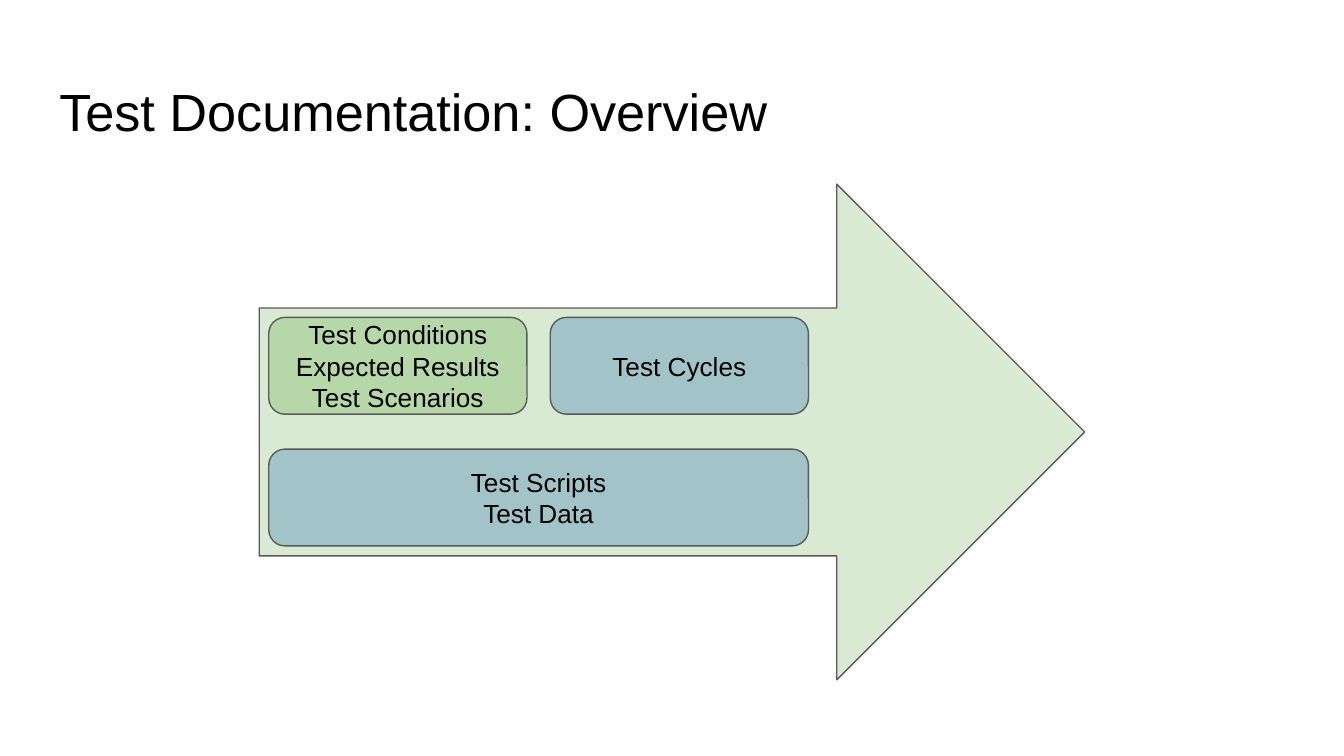
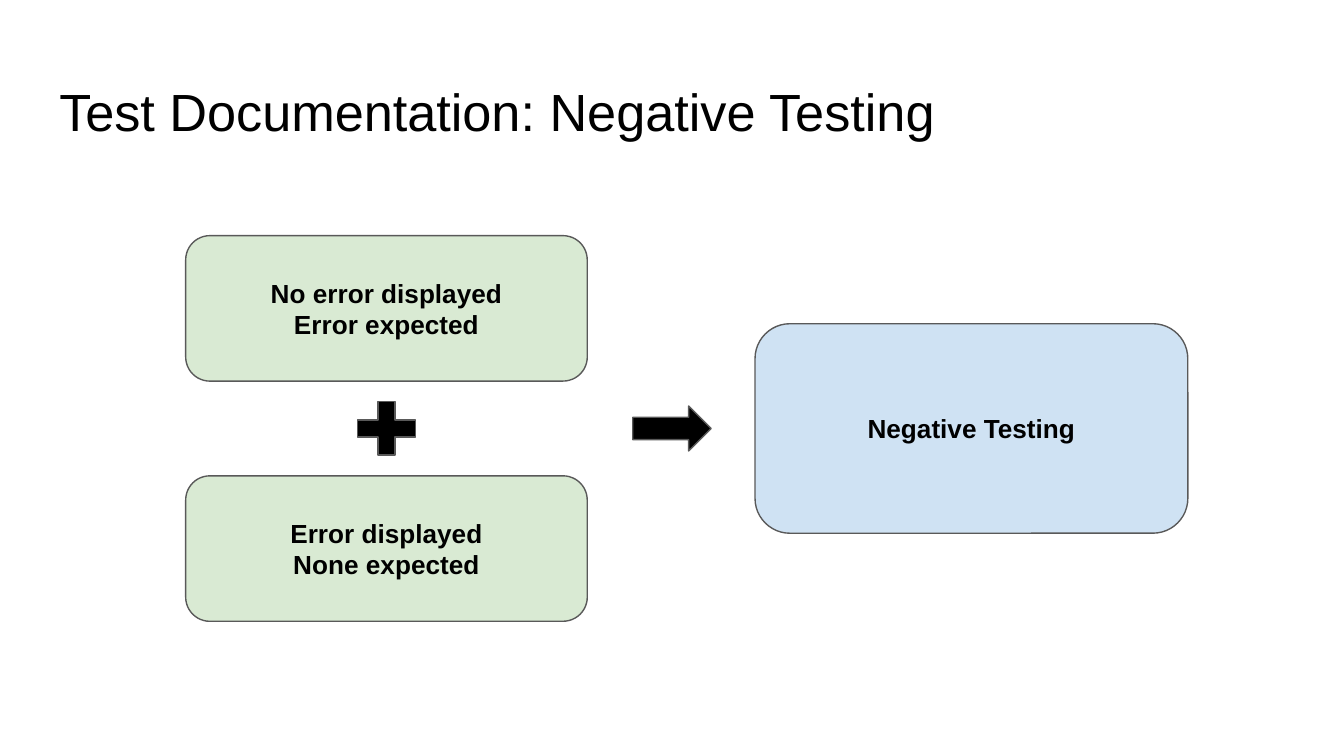
from pptx import Presentation
from pptx.dml.color import RGBColor
from pptx.enum import shapes as es, text as et
from pptx.util import Cm, Pt

HUES = {
    "ink": "000000",
    "edge": "595959",
    "pale": "D9EAD3",
    "green": "B6D7A8",
    "teal": "A2C4C9",
    "blue": "CFE2F3",
}
FONT = "Arial"
KIND = es.MSO_SHAPE


def hue(name):
    return RGBColor.from_string(HUES[name])


def style(frame, size, align, anchor, bold=False):
    """Format a text frame and all its paragraphs."""
    frame.word_wrap = True
    frame.auto_size = et.MSO_AUTO_SIZE.NONE
    frame.vertical_anchor = anchor
    frame.margin_left = frame.margin_right = Cm(0.25)
    frame.margin_top = frame.margin_bottom = Cm(0.25)
    for para in frame.paragraphs:
        para.alignment = align
        font = para.font
        font.name, font.size, font.bold = FONT, Pt(size), bold
        font.color.rgb = hue("ink")


def page(deck, title):
    """Add a slide with the shared title style."""
    slide = deck.slides.add_slide(deck.slide_layouts[5])
    head = slide.shapes.title
    head.left, head.top = Cm(0.87), Cm(1.24)
    head.width, head.height = Cm(23.67), Cm(1.6)
    head.text_frame.text = title
    style(head.text_frame, 28, et.PP_ALIGN.LEFT, et.MSO_ANCHOR.TOP)
    return slide


def draw(tree, kind, x, y, w, h, fill):
    """Add a filled preset shape with the shared outline."""
    item = tree.add_shape(kind, Cm(x), Cm(y), Cm(w), Cm(h))
    item.shadow.inherit = False
    item.fill.solid()
    item.fill.fore_color.rgb = hue(fill)
    item.line.color.rgb = hue("edge")
    item.line.width = Pt(0.75)
    return item


def card(tree, lines, x, y, w, h, fill, bold=False):
    """Add a rounded box with centred lines of text."""
    box = draw(tree, KIND.ROUNDED_RECTANGLE, x, y, w, h, fill)
    box.text_frame.paragraphs[0].text = "\n".join(lines)
    style(box.text_frame, 14, et.PP_ALIGN.CENTER, et.MSO_ANCHOR.MIDDLE, bold)


def overview(deck):
    slide = page(deck, "Test Documentation: Overview")
    tree = slide.shapes.add_group_shape().shapes

    # Large arrow behind the boxes
    draw(tree, KIND.RIGHT_ARROW, 4.9, 3.48, 15.6, 9.37, "pale")

    # Two boxes above one that spans both columns
    x, y, w, h = 5.08, 6, 4.88, 1.83
    step, drop = 5.32, 2.49
    card(tree, ["Test Conditions", "Expected Results", "Test Scenarios"],
         x, y, w, h, "green")
    card(tree, ["Test Scripts", "Test Data"], x, y + drop, step + w, h, "teal")
    card(tree, ["Test Cycles"], x + step, y, w, h, "teal")


def negative(deck):
    slide = page(deck, "Test Documentation: Negative Testing")
    tree = slide.shapes
    x, w, h = 3.51, 7.59, 2.75
    mid, gap = 8.1, 1.79

    # Causes, above and below the middle line
    card(tree, ["No error displayed", "Error expected"],
         x, mid - gap / 2 - h, w, h, "pale", True)
    card(tree, ["Error displayed", "None expected"],
         x, mid + gap / 2, w, h, "pale", True)

    # Result
    tall = 3.96
    card(tree, ["Negative Testing"],
         14.27, mid - tall / 2, 8.18, tall, "blue", True)

    # Plus and arrow signs, centred on the middle line
    size = 1.48
    for kind, left, high in (
        (KIND.MATH_PLUS, x + (w - size) / 2, 1.37),
        (KIND.RIGHT_ARROW, 11.96, 0.85),
    ):
        draw(tree, kind, left, mid - high / 2, size, high, "ink")


def main():
    deck = Presentation()
    deck.slide_width, deck.slide_height = Cm(25.4), Cm(14.29)
    overview(deck)
    negative(deck)
    deck.save("out.pptx")


if __name__ == "__main__":
    main()
